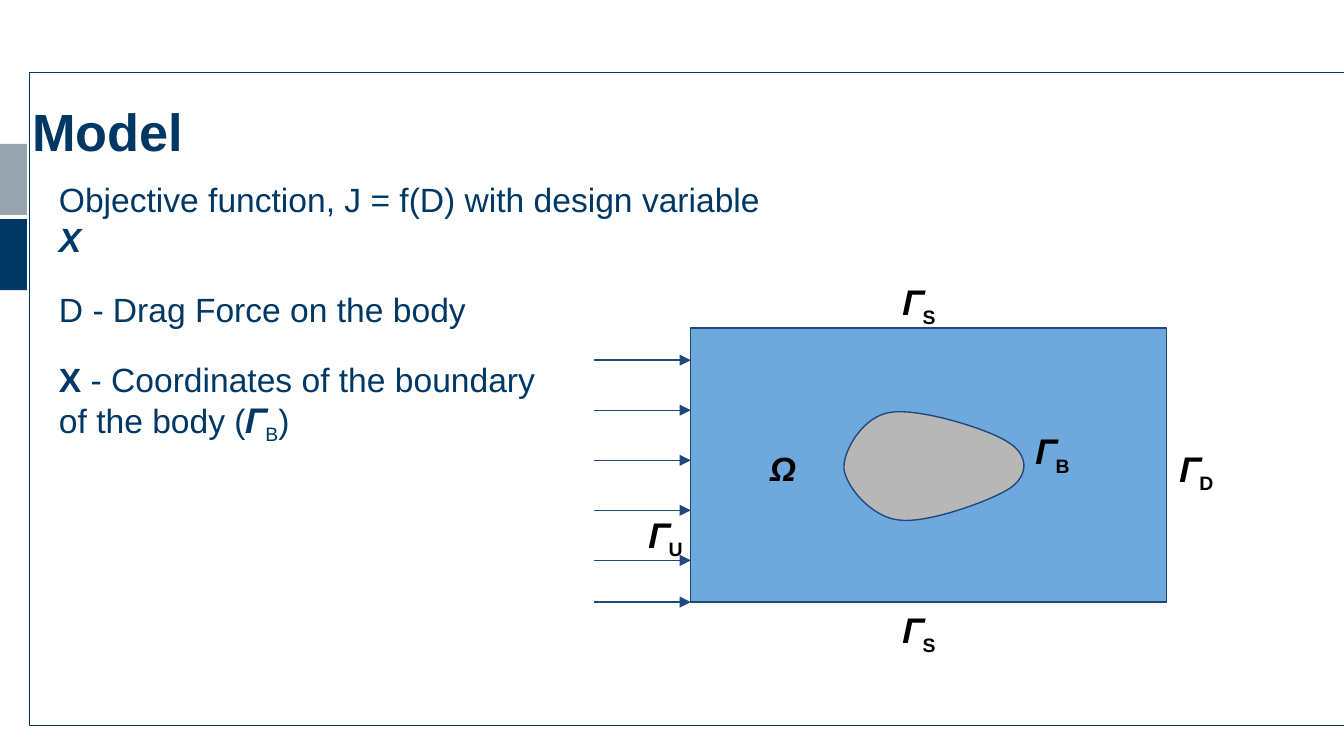
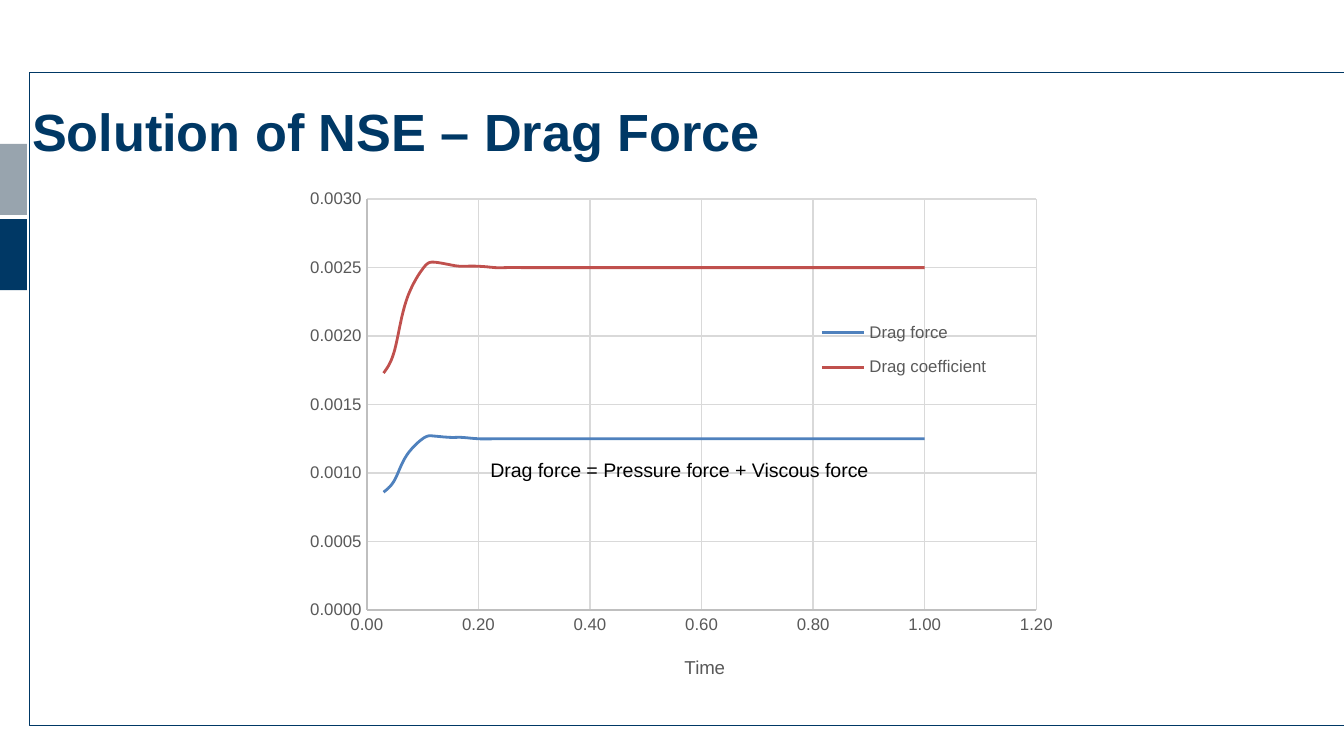
from dataclasses import dataclass
from typing import Any

import lxml.etree
import pptx
import pptx.chart.data
import pptx.dml.color
import pptx.enum.chart
import pptx.enum.shapes
import pptx.enum.text
import pptx.oxml.ns
import pptx.util

Inches = pptx.util.Inches
Pt = pptx.util.Pt

FONT = "Arial"
COLOURS = {
    "navy": "003865",
    "silver": "98A4AE",
    "water": "6FA8DC",
    "body": "B7B7B7",
    "outline": "1F497D",
    "black": "000000",
    "grey": "595959",
    "axis": "BFBFBF",
    "grid": "D9D9D9",
    "force": "4F81BD",
    "coefficient": "C0504D",
}


@dataclass(frozen=True)
class Box:
    left: float
    top: float
    width: float
    height: float

    def lengths(self) -> tuple[int, ...]:
        return tuple(Inches(v) for v in (self.left, self.top, self.width, self.height))


@dataclass(frozen=True)
class Span:
    text: str
    bold: bool = False
    italic: bool = False
    subscript: bool = False


@dataclass(frozen=True)
class Para:
    spans: tuple[Span, ...]
    space_before: float = 0


@dataclass(frozen=True)
class Style:
    size: float
    colour: str
    bold: bool | None = None


@dataclass(frozen=True)
class Label:
    left: float
    top: float
    spans: tuple[Span, ...]


@dataclass(frozen=True)
class Curve:
    name: str
    start: tuple[float, ...]
    steady: float
    colour: str


def gamma(subscript: str) -> tuple[Span, ...]:
    return Span("𝜞"), Span(subscript, bold=True, subscript=True)


RAIL = ((1.63, "navy"), (1.07, "silver"))
FRAME = ((10, 0.54), (0.22, 0.54), (0.22, 5.4), (10, 5.4), (9.49, 5.4))
STATEMENT = (
    Para((Span("Objective function, J = f(D) with design variable "),
          Span("X", bold=True, italic=True))),
    Para((Span("D - Drag Force on the body"),), 16),
    Para((Span("X ", bold=True), Span("- Coordinates of the boundary")), 16),
    Para((Span("of the body (𝜞"), Span("B", subscript=True), Span(")"))),
)
DOMAIN = Box(5.14, 2.44, 3.54, 2.04)
BODY_START = (6.28, 3.49)
BODY_CURVES = (
    ((6.3, 3.63), (6.49, 3.85), (6.69, 3.87)),
    ((6.9, 3.9), (7.39, 3.72), (7.52, 3.63)),
    ((7.66, 3.53), (7.65, 3.38), (7.5, 3.29)),
    ((7.35, 3.19), (6.82, 3.03), (6.62, 3.07)),
    ((6.42, 3.1), (6.27, 3.36), BODY_START),
)
CURVE_STEPS = 16
FIRST_ARROW, FIFTH_ARROW = 2.68, 4.17
ARROW_START = 4.42
LABELS = (
    Label(4.73, 3.73, gamma("U")),
    Label(6.62, 4.44, gamma("S")),
    Label(6.62, 2, gamma("S")),
    Label(8.68, 3.24, gamma("D")),
    Label(7.61, 3.11, gamma("B")),
    Label(5.63, 3.23, (Span("Ω", bold=True, italic=True),)),
)
SAMPLES = 40
CURVES = (
    Curve("Drag force",
          (0.00086, 0.00095, 0.00112, 0.00125, 0.00127, 0.00126, 0.00126),
          0.00125, "force"),
    Curve("Drag coefficient",
          (0.00173, 0.0019, 0.00225, 0.00249, 0.00254, 0.00252, 0.00251, 0.00251),
          0.0025, "coefficient"),
)


def rgb(colour: str) -> pptx.dml.color.RGBColor:
    return pptx.dml.color.RGBColor.from_string(COLOURS[colour])


def set_font(font: Any, style: Style) -> None:
    font.name = FONT
    font.size = Pt(style.size)
    font.color.rgb = rgb(style.colour)
    font.bold = style.bold


def set_line(line: Any, colour: str, width: float = 0.75) -> None:
    line.color.rgb = rgb(colour)
    line.width = Pt(width)


def paint(shape: Any, fill: str | None, line: str | None) -> None:
    shape.shadow.inherit = False
    if fill:
        shape.fill.solid()
        shape.fill.fore_color.rgb = rgb(fill)
    else:
        shape.fill.background()
    if line:
        set_line(shape.line, line)
    else:
        shape.line.fill.background()


def add_rectangle(page: Any, box: Box, fill: str, line: str | None = None) -> None:
    kind = pptx.enum.shapes.MSO_SHAPE.RECTANGLE
    paint(page.shapes.add_shape(kind, *box.lengths()), fill, line)


def add_outline(page: Any, points: Any, fill: str | None, line: str, close: bool) -> None:
    corners = [(Inches(x), Inches(y)) for x, y in points]
    builder = page.shapes.build_freeform(*corners[0])
    builder.add_line_segments(corners[1:], close=close)
    paint(builder.convert_to_shape(), fill, line)


def add_text(page: Any, box: Box, paras: tuple[Para, ...], style: Style,
             inset: float = 0.1) -> Any:
    frame = page.shapes.add_textbox(*box.lengths()).text_frame
    frame.word_wrap = True
    frame.margin_left = frame.margin_right = Inches(0.1)
    frame.margin_top = frame.margin_bottom = Inches(inset)
    for index, para in enumerate(paras):
        paragraph = frame.add_paragraph() if index else frame.paragraphs[0]
        set_font(paragraph.font, style)
        paragraph.space_before = Pt(para.space_before)
        for span in para.spans:
            run = paragraph.add_run()
            run.text = span.text
            set_font(run.font, Style(style.size, style.colour, span.bold or style.bold))
            run.font.italic = span.italic
            if span.subscript:
                run._r.get_or_add_rPr().set("baseline", "-25000")
    return frame


def add_arrow(page: Any, y: float) -> None:
    arrow = page.shapes.add_connector(
        pptx.enum.shapes.MSO_CONNECTOR.STRAIGHT,
        Inches(ARROW_START), Inches(y), Inches(DOMAIN.left), Inches(y))
    set_line(arrow.line, "outline")
    qn = pptx.oxml.ns.qn
    lxml.etree.SubElement(arrow.line._get_or_add_ln(), qn("a:tailEnd"), type="triangle")
    lxml.etree.SubElement(arrow._element.spPr, qn("a:effectLst"))


def add_page(deck: Any, title: str, title_width: float) -> Any:
    page = deck.slides.add_slide(deck.slide_layouts[6])
    for top, colour in RAIL:
        add_rectangle(page, Box(0, top, 0.2, 0.53), colour)
    add_outline(page, FRAME, None, "navy", False)
    add_text(page, Box(0.14, 0.69, title_width, 0.55), (Para((Span(title),)),),
             Style(28, "navy", True), 0.05)
    return page


def body_points() -> list[tuple[float, float]]:
    points = [BODY_START]
    for first, second, end in BODY_CURVES:
        start = points[-1]
        for step in range(1, CURVE_STEPS + 1):
            t = step / CURVE_STEPS
            weights = ((1 - t) ** 3, 3 * t * (1 - t) ** 2, 3 * t * t * (1 - t), t ** 3)
            corners = (start, first, second, end)
            x, y = (sum(w * c[axis] for w, c in zip(weights, corners)) for axis in (0, 1))
            points.append((x, y))
    return points


def add_model(deck: Any) -> None:
    page = add_page(deck, "Model", 4.89)
    add_text(page, Box(0.34, 1.23, 5.65, 1.71), STATEMENT, Style(18, "navy"))
    add_rectangle(page, DOMAIN, "water", "outline")
    add_outline(page, body_points(), "body", "outline", True)
    gap = (FIFTH_ARROW - FIRST_ARROW) / 4
    for index in range(5):
        add_arrow(page, FIRST_ARROW + index * gap)
    add_arrow(page, DOMAIN.top + DOMAIN.height)
    for label in LABELS:
        add_text(page, Box(label.left, label.top, 0.57, 0.44), (Para(label.spans),),
                 Style(18, "black"))


def place(parent: Any, index: int, box: Box, inner: bool = False) -> None:
    qn = pptx.oxml.ns.qn
    for old in parent.findall(qn("c:layout")):
        parent.remove(old)
    layout = lxml.etree.Element(qn("c:layout"))
    manual = lxml.etree.SubElement(layout, qn("c:manualLayout"))
    settings = [("layoutTarget", "inner")] if inner else []
    settings += [("xMode", "edge"), ("yMode", "edge"), ("x", box.left), ("y", box.top),
                 ("w", box.width), ("h", box.height)]
    for name, value in settings:
        lxml.etree.SubElement(manual, qn(f"c:{name}"), val=str(value))
    parent.insert(index, layout)


def format_axis(axis: Any, maximum: float, unit: float, number_format: str) -> None:
    axis.minimum_scale = 0
    axis.maximum_scale = maximum
    axis.major_unit = unit
    axis.major_tick_mark = axis.minor_tick_mark = pptx.enum.chart.XL_TICK_MARK.NONE
    axis.has_major_gridlines = True
    set_line(axis.major_gridlines.format.line, "grid")
    set_line(axis.format.line, "axis")
    axis.tick_labels.number_format = number_format
    axis.tick_labels.number_format_is_linked = False
    set_font(axis.tick_labels.font, Style(9, "grey"))


def add_drag_chart(page: Any) -> None:
    data = pptx.chart.data.XyChartData()
    for curve in CURVES:
        series = data.add_series(curve.name)
        values = curve.start + (curve.steady,) * (SAMPLES - len(curve.start))
        for step, value in enumerate(values, 1):
            series.add_data_point(round(step / SAMPLES, 2), value)
    kind = pptx.enum.chart.XL_CHART_TYPE.XY_SCATTER_SMOOTH_NO_MARKERS
    chart = page.shapes.add_chart(kind, *Box(1.93, 1.25, 6.15, 3.87).lengths(), data).chart
    set_font(chart.font, Style(10, "black"))
    chart.has_title = False
    chart.plots[0].vary_by_categories = False
    for series, curve in zip(chart.plots[0].series, CURVES):
        series._element.get_or_add_smooth().val = True
        series.marker.style = pptx.enum.chart.XL_MARKER_STYLE.NONE
        set_line(series.format.line, curve.colour, 1.5)
    format_axis(chart.category_axis, 1.2, 0.2, "#,##0.00")
    format_axis(chart.value_axis, 0.003, 0.0005, "#,##0.0000")
    axis_title = chart.category_axis.axis_title
    caption = axis_title.text_frame.paragraphs[0]
    caption.add_run().text = "Time"
    set_font(caption.font, Style(10, "grey", False))
    chart.value_axis.has_title = False
    chart.has_legend = True
    chart.legend.position = pptx.enum.chart.XL_LEGEND_POSITION.RIGHT
    chart.legend.include_in_layout = False
    set_font(chart.legend.font, Style(9, "grey"))
    place(axis_title._element, 1, Box(0.51, 0.93, 0.05, 0.04))
    place(chart.legend._element, 1, Box(0.67, 0.27, 0.22, 0.16))
    place(chart._chartSpace.chart.plotArea, 0, Box(0.13, 0.06, 0.81, 0.79), True)


def add_solution(deck: Any) -> None:
    page = add_page(deck, "Solution of NSE – Drag Force", 5.81)
    add_drag_chart(page)
    caption = Para((Span("Drag force = Pressure force + Viscous force"),))
    frame = add_text(page, Box(3.55, 3.36, 3.53, 0.29), (caption,), Style(10.5, "black"), 0.05)
    frame.auto_size = pptx.enum.text.MSO_AUTO_SIZE.SHAPE_TO_FIT_TEXT


def main() -> None:
    deck = pptx.Presentation()
    deck.slide_width = Inches(10)
    deck.slide_height = deck.slide_width * 9 // 16
    add_model(deck)
    add_solution(deck)
    deck.save("out.pptx")


if __name__ == "__main__":
    main()
